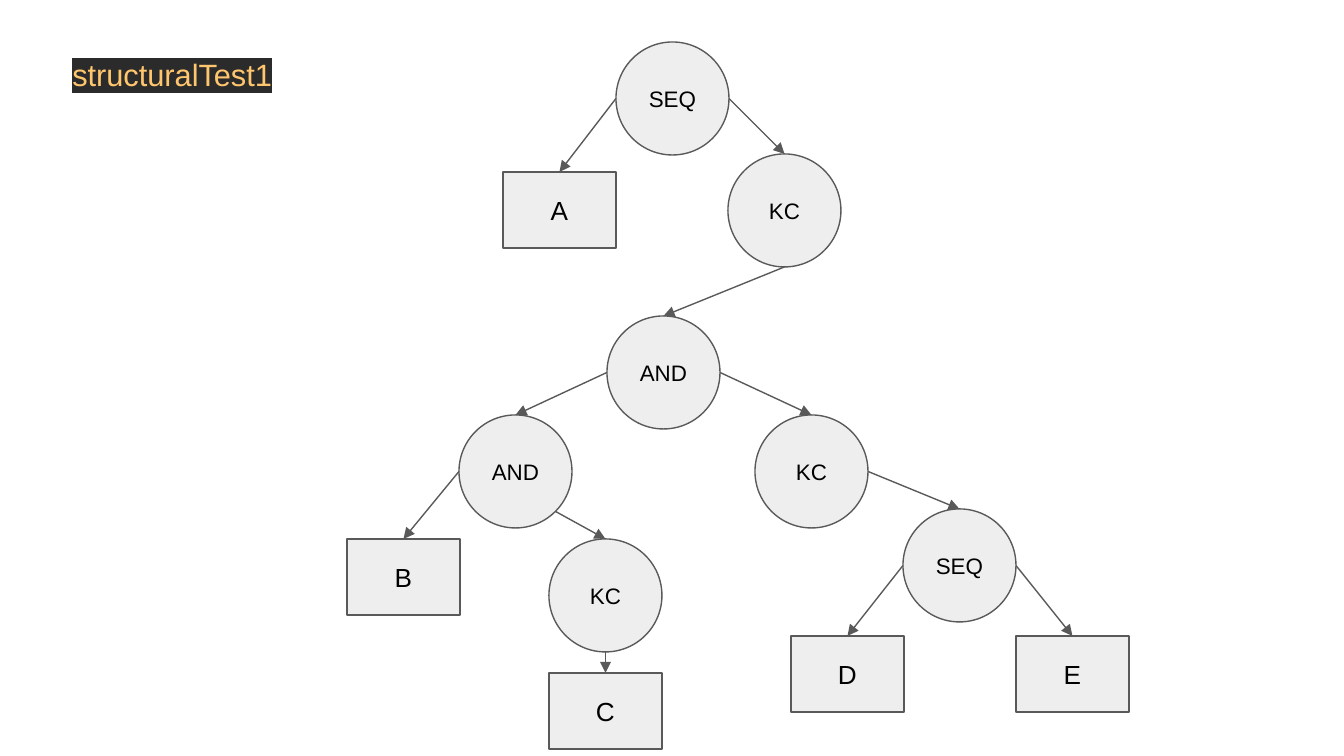
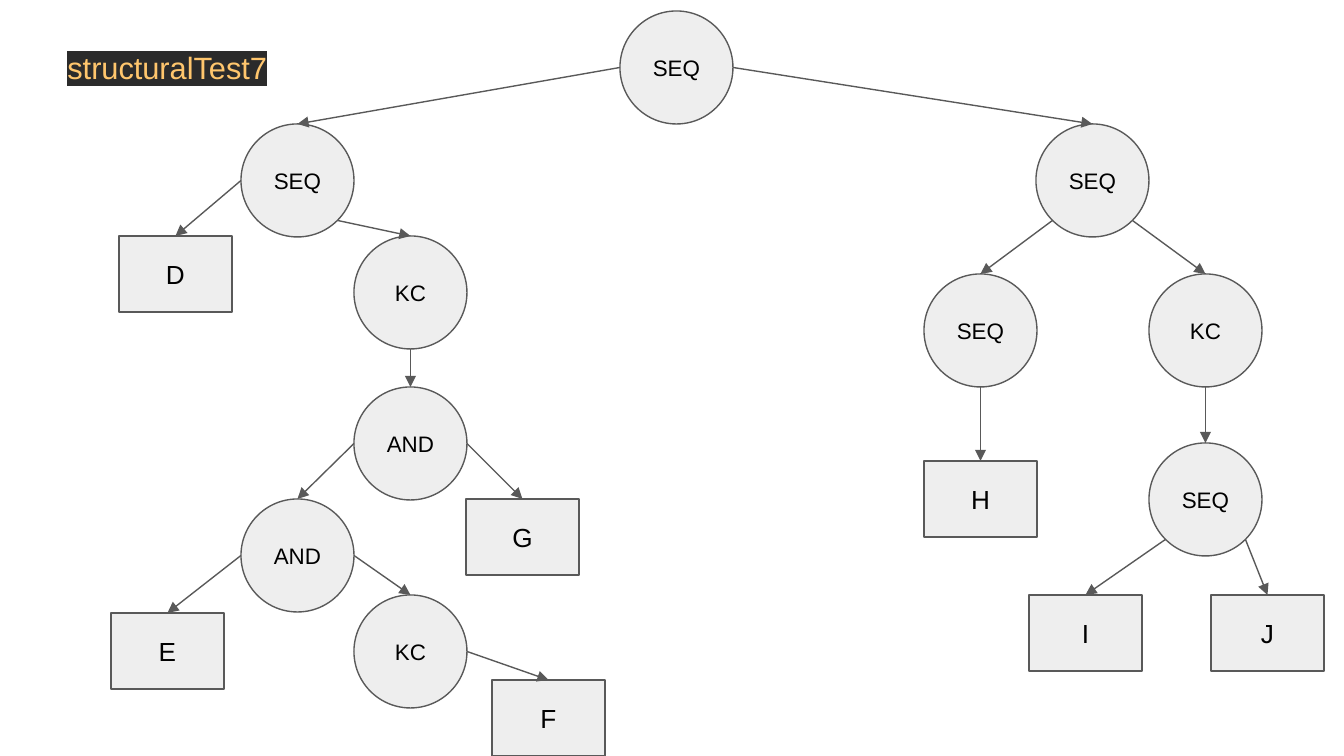
from dataclasses import dataclass
from math import sqrt

from lxml import etree
from pptx import Presentation
from pptx import util as u
from pptx.dml.color import RGBColor
from pptx.enum import shapes, text
from pptx.oxml.ns import qn

PX = 914400 / 134.4  # EMU per pixel
SLIDE_W, SLIDE_H = 1344, 756
NODE_W, LEAF_H = 113, 76
INSET = u.Inches(0.1)
FONT = "Arial"
COLORS = {"fill": "EEEEEE", "line": "595959", "label": "000000",
          "title": "FFC66D", "title_back": "2B2B2B"}

# Exit sites: connection index of an ellipse, and direction from its centre
DIAGONAL = 1 / sqrt(2)
EXITS = {"left": (2, -1, 0), "right": (6, 1, 0), "bottom": (4, 0, 1),
         "lower left": (3, -DIAGONAL, DIAGONAL),
         "lower right": (5, DIAGONAL, DIAGONAL)}


@dataclass
class Node:
    """An operator or a leaf, placed by its top left corner."""
    label: str
    left: int
    top: int
    exit: str = ""  # side of the parent where the arrow starts
    children: tuple = ()

    @property
    def is_leaf(self):
        """Tell whether the node is drawn as a box."""
        return not self.children


TREE_1 = Node("SEQ", 616, 42, children=(
    Node("A", 503, 172, "left"),
    Node("KC", 728, 154, "right", (
        Node("AND", 607, 316, "bottom", (
            Node("AND", 459, 415, "left", (
                Node("B", 347, 539, "left"),
                Node("KC", 549, 539, "lower right", (
                    Node("C", 549, 673, "bottom"),)))),
            Node("KC", 755, 415, "right", (
                Node("SEQ", 903, 509, "right", (
                    Node("D", 791, 636, "left"),
                    Node("E", 1016, 636, "right"))),)))),))))

TREE_7 = Node("SEQ", 620, 11, children=(
    Node("SEQ", 241, 124, "left", (
        Node("D", 119, 236, "left"),
        Node("KC", 354, 236, "lower right", (
            Node("AND", 354, 387, "bottom", (
                Node("AND", 241, 499, "left", (
                    Node("E", 111, 613, "left"),
                    Node("KC", 354, 595, "right", (
                        Node("F", 492, 680, "right"),)))),
                Node("G", 466, 499, "right"))),)))),
    Node("SEQ", 1036, 124, "right", (
        Node("SEQ", 924, 274, "lower left", (
            Node("H", 924, 461, "bottom"),)),
        Node("KC", 1149, 274, "lower right", (
            Node("SEQ", 1149, 443, "bottom", (
                Node("I", 1029, 595, "lower left"),
                Node("J", 1211, 595, "lower right"))),))))))


def emu(*pixels):
    """Turn pixel lengths into EMU."""
    return [u.Emu(round(length * PX)) for length in pixels]


def rgb(role):
    """Return the colour of a role."""
    return RGBColor.from_string(COLORS[role])


def set_text(shape, words, size, role, align, anchor):
    """Write one formatted paragraph and return its run."""
    frame = shape.text_frame
    frame.text = words
    frame.word_wrap = True
    frame.auto_size = text.MSO_AUTO_SIZE.NONE
    frame.vertical_anchor = anchor
    frame.margin_left = frame.margin_right = INSET
    frame.margin_top = frame.margin_bottom = INSET
    paragraph = frame.paragraphs[0]
    paragraph.alignment = align
    run = paragraph.runs[0]
    run.font.size = u.Pt(size)
    run.font.color.rgb = rgb(role)
    run.font.name = FONT
    return run


def set_line(shape):
    """Give a shape or an arrow the common thin line."""
    shape.line.color.rgb = rgb("line")
    shape.line.width = u.Pt(0.75)


def add_title(slide, words, left, top, width):
    """Place the highlighted test name in the title placeholder."""
    title = slide.shapes.title
    title.left, title.top, title.width, title.height = emu(left, top, width, 64)
    run = set_text(title, words, 16.5, "title",
                   text.PP_ALIGN.LEFT, text.MSO_ANCHOR.TOP)
    highlight = etree.Element(qn("a:highlight"))
    etree.SubElement(highlight, qn("a:srgbClr"), val=COLORS["title_back"])
    run.font._element.find(qn("a:solidFill")).addnext(highlight)


def add_node(slide, node):
    """Draw an operator as a circle or a leaf as a box."""
    kind = shapes.MSO_SHAPE.RECTANGLE if node.is_leaf else shapes.MSO_SHAPE.OVAL
    height = LEAF_H if node.is_leaf else NODE_W
    shape = slide.shapes.add_shape(
        kind, *emu(node.left, node.top, NODE_W, height))
    shape.shadow.inherit = False
    shape.fill.solid()
    shape.fill.fore_color.rgb = rgb("fill")
    set_line(shape)
    set_text(shape, node.label, 14 if node.is_leaf else 12, "label",
             text.PP_ALIGN.CENTER, text.MSO_ANCHOR.MIDDLE)
    return shape


def add_arrow(slide, parent, parent_shape, child, child_shape):
    """Link the exit site of a parent to the top of its child."""
    site, dx, dy = EXITS[child.exit]
    radius = NODE_W / 2
    arrow = slide.shapes.add_connector(
        shapes.MSO_CONNECTOR.STRAIGHT,
        *emu(parent.left + radius * (1 + dx), parent.top + radius * (1 + dy),
             child.left + radius, child.top))
    set_line(arrow)
    etree.SubElement(arrow.line._get_or_add_ln(), qn("a:tailEnd"), type="triangle")
    etree.SubElement(arrow._element.spPr, qn("a:effectLst"))
    ties = arrow._element.find(".//" + qn("p:cNvCxnSpPr"))
    for tag, shape, index in (("a:stCxn", parent_shape, site),
                              ("a:endCxn", child_shape, 0)):
        etree.SubElement(ties, qn(tag), id=str(shape.shape_id), idx=str(index))


def add_tree(slide, node):
    """Draw a node, its subtrees and the arrows to them."""
    node_shape = add_node(slide, node)
    for child in node.children:
        child_shape = add_tree(slide, child)
        add_arrow(slide, node, node_shape, child, child_shape)
    return node_shape


def main():
    """Build one slide for each test tree."""
    deck = Presentation()
    deck.slide_width, deck.slide_height = emu(SLIDE_W, SLIDE_H)
    title_only = deck.slide_layouts[5]
    for name, left, top, width, tree in (
            ("structuralTest1", 59, 42, 634, TREE_1),
            ("structuralTest7", 54, 35, 347, TREE_7)):
        slide = deck.slides.add_slide(title_only)
        add_title(slide, name, left, top, width)
        add_tree(slide, tree)
    deck.save("out.pptx")


main()
